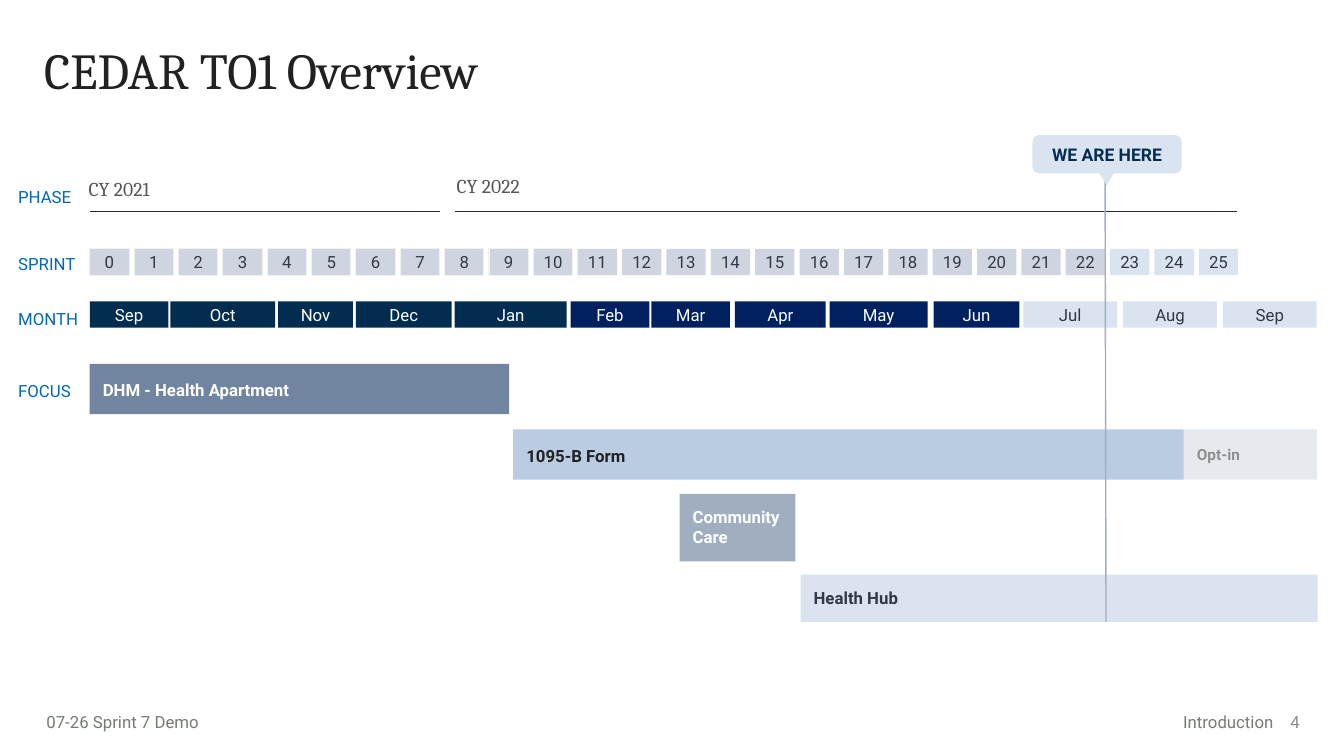
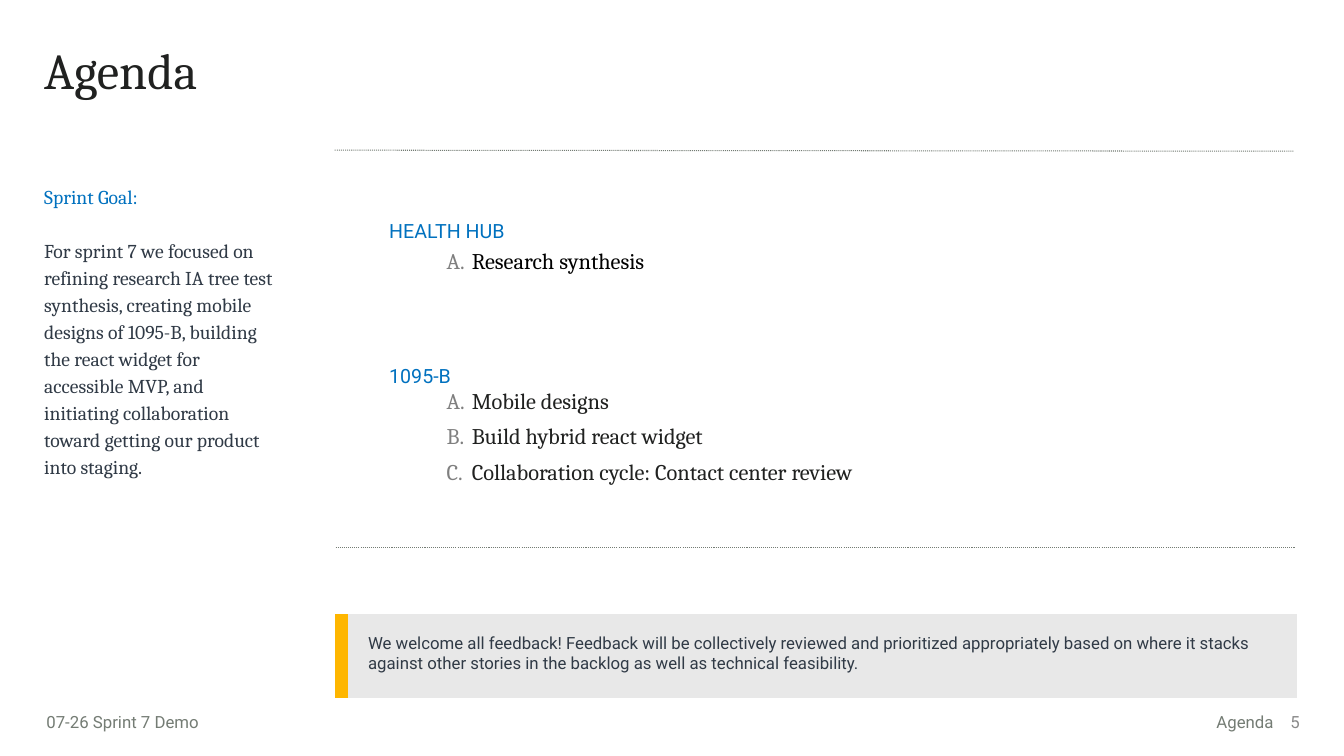
import lxml.etree
import pptx
import pptx.dml.color
import pptx.enum.dml
import pptx.enum.shapes
import pptx.enum.text
import pptx.oxml.ns
import pptx.util

PX = 9144  # 100 px to the inch
SERIF, SANS = "Cambria", "Roboto"
INK, SLATE, GRAY, WHITE = "202120", "303A46", "747C74", "FDFFFD"
LABEL_BLUE, HEADING_BLUE = "0467B8", "0071BF"
NAVY, ROYAL, PALE, STEEL = "022D50", "002060", "DAE4F0", "A1AEBF"

color = pptx.dml.color.RGBColor.from_string
qn = pptx.oxml.ns.qn
Pt = pptx.util.Pt
ALIGN = pptx.enum.text.PP_ALIGN
ANCHOR = pptx.enum.text.MSO_ANCHOR
SHAPE = pptx.enum.shapes.MSO_SHAPE


def add_block(page, place, text, size=12, ink=SLATE, font=SANS, bold=False, fill=None,
              kind=SHAPE.RECTANGLE, margins=(10, 5, 10, 5), align=ALIGN.LEFT,
              anchor=ANCHOR.TOP, spacing=None):
    """Add a text box, or a filled shape when a fill is given."""
    place = [length * PX for length in place]
    if fill:
        box = page.shapes.add_shape(kind, *place)
        box.shadow.inherit = False
        box.fill.solid()
        box.fill.fore_color.rgb = color(fill)
        box.line.fill.background()
    else:
        box = page.shapes.add_textbox(*place)
    frame = box.text_frame
    frame.word_wrap = True
    frame.vertical_anchor = anchor
    frame.margin_left, frame.margin_top, frame.margin_right, frame.margin_bottom = [
        margin * PX for margin in margins]
    frame.text = text
    for para in frame.paragraphs:
        para.alignment = align
        if spacing:
            para.line_spacing = spacing
        for span in para.runs:
            span.font.name, span.font.size, span.font.bold = font, Pt(size), bold
            span.font.color.rgb = color(ink)
    return box


def add_rule(page, ends, ink, width=0.75):
    """Add a straight line without a shadow."""
    rule = page.shapes.add_connector(
        pptx.enum.shapes.MSO_CONNECTOR.STRAIGHT, *[length * PX for length in ends])
    rule.line.color.rgb = color(ink)
    rule.line.width = Pt(width)
    lxml.etree.SubElement(rule.element.spPr, qn("a:effectLst"))
    return rule


deck = pptx.Presentation()
deck.slide_width, deck.slide_height = 1333 * PX, 750 * PX

# Title and footer of both slides
pages = []
for number, title, section in [(4, "CEDAR TO1 Overview", "Introduction"), (5, "Agenda", "Agenda")]:
    page = deck.slides.add_slide(deck.slide_layouts[6])
    add_block(page, (34, 41, 1242, 82), title, 36, INK, SERIF, spacing=0.9)
    add_block(page, (46, 701, 298, 30), "07-26 Sprint 7 Demo", ink=GRAY, margins=(0, 5, 10, 5))
    add_block(page, (975, 701, 298, 30), section, ink=GRAY, align=ALIGN.RIGHT)
    add_block(page, (1255, 696, 44, 40), str(number), ink="8A8A8A", align=ALIGN.RIGHT,
              anchor=ANCHOR.MIDDLE)
    pages.append(page)
overview, agenda = pages

# Overview: row labels
for label, top in [("PHASE", 185), ("SPRINT", 252), ("MONTH", 306), ("FOCUS", 378)]:
    add_block(overview, (18, top, 78, 20), label, ink=LABEL_BLUE, margins=(0, 0, 0, 0))

# Overview: calendar years
for year, left, top, start, end in [("CY 2021", 78, 171, 89, 436), ("CY 2022", 443, 168, 451, 1227)]:
    add_block(overview, (left, top, 300, 34), year, 14, "565956", SERIF)
    add_rule(overview, (start, 210, end, 210), "232B34")

# Overview: sprints at an equal pitch
for sprint in range(26):
    cell = add_block(overview, (89 + 44 * sprint, 247, 39, 26), str(sprint),
                     fill="CED5E0" if sprint < 23 else PALE,
                     margins=(3, 3, 3, 3), align=ALIGN.CENTER)
    if sprint < 11:
        cell.line.color.rgb = color("F0F1F0")
        cell.line.width = Pt(0.75)

# Overview: months, grouped by contract period
periods = [
    (NAVY, WHITE, [("Sep", 89, 78), ("Oct", 169, 104), ("Nov", 276, 74), ("Dec", 353, 95),
                   ("Jan", 451, 111)]),
    (ROYAL, WHITE, [("Feb", 566, 78), ("Mar", 646, 78), ("Apr", 729, 90), ("May", 823, 97),
                    ("Jun", 926, 85)]),
    (PALE, SLATE, [("Jul", 1015, 93), ("Aug", 1114, 93), ("Sep", 1213, 93)]),
]
for fill, ink, months in periods:
    for month, left, width in months:
        add_block(overview, (left, 299, width, 26), month, ink=ink, fill=fill,
                  margins=(3, 3, 3, 3), align=ALIGN.CENTER)

# Overview: focus bars
focus_bars = [
    ("DHM - Health Apartment", (89, 361, 416, 50), "7185A0", "FFFFFF", 12, 1.15),
    ("1095-B Form", (509, 426, 665, 50), "B9CCE2", INK, 12, 1.15),
    ("Community Care", (674, 490, 115, 67), STEEL, WHITE, 12, None),
    ("Health Hub", (794, 570, 513, 47), PALE, SLATE, 12, None),
    ("Opt-in", (1174, 426, 132, 50), STEEL, "8F8F8F", 11, 1.15),
]
for text, place, fill, ink, size, spacing in focus_bars:
    bar = add_block(overview, place, text, size, ink, bold=True, fill=fill,
                    margins=(13, 13, 13, 13), spacing=spacing)
    if text == "Opt-in":
        tint = bar.element.spPr.find(qn("a:solidFill"))[0]
        lxml.etree.SubElement(tint, qn("a:alpha"), val="26000")

# Overview: current date marker
add_rule(overview, (1096, 155, 1097, 617), STEEL, 1)
callout = add_block(overview, (1024, 134, 148, 38), "WE ARE HERE", 12.5, NAVY, bold=True, fill=PALE,
                    kind=SHAPE.ROUNDED_RECTANGLE, align=ALIGN.CENTER, anchor=ANCHOR.MIDDLE)
callout.adjustments[0] = 0.17
pointer = add_block(overview, (1090, 171, 15, 13), "", fill=PALE, kind=SHAPE.ISOSCELES_TRIANGLE)
pointer.rotation = 180

# Agenda: sprint goal
goal = add_block(
    agenda, (34, 175, 247, 391),
    "Sprint Goal:\nFor sprint 7 we focused on refining research IA tree test synthesis, "
    "creating mobile designs of 1095-B, building the react widget for accessible MVP, and "
    "initiating collaboration toward getting our product into staging.",
    14, SLATE, SERIF, spacing=1.15)
heading, body = goal.text_frame.paragraphs
heading.runs[0].font.color.rgb = color(HEADING_BLUE)
body.space_before = Pt(19)

# Agenda: dotted rules
for ends in [(332, 149, 1283, 150), (333, 543, 1284, 543)]:
    rule = add_rule(agenda, ends, GRAY)
    rule.line.dash_style = pptx.enum.dml.MSO_LINE.ROUND_DOT

# Agenda: topics with lettered items
topics = [
    ("HEALTH HUB", 212, 245, 27, "000000", ["Research synthesis"]),
    ("1095-B", 356, 384, 98, INK,
     ["Mobile designs", "Build hybrid react widget", "Collaboration cycle: Contact center review"]),
]
for topic, topic_top, list_top, height, ink, items in topics:
    add_block(agenda, (386, topic_top, 528, 40), topic, 14, HEADING_BLUE, margins=(0, 5, 0, 5))
    box = add_block(agenda, (443, list_top, 680, height), "\n".join(items), 16, ink, SERIF,
                    margins=(0, 0, 0, 0))
    for index, para in enumerate(box.text_frame.paragraphs):
        if index:
            para.space_before = Pt(6)
        properties = para._p.get_or_add_pPr()
        properties.set("marL", str(25 * PX))
        properties.set("indent", str(-25 * PX))
        bullet_color = lxml.etree.SubElement(properties, qn("a:buClr"))
        lxml.etree.SubElement(bullet_color, qn("a:srgbClr"), val="7F7F7F")
        lxml.etree.SubElement(properties, qn("a:buFont"), typeface=SERIF)
        lxml.etree.SubElement(properties, qn("a:buAutoNum"), type="alphaUcPeriod")

# Agenda: feedback note
holder = agenda.shapes.add_table(1, 2, 332 * PX, 609 * PX, 954 * PX, 83 * PX)
holder.element.xpath(".//a:tableStyleId")[0].text = "{2D5ABB26-0587-4C30-8999-92F81FD0307C}"
note = holder.table
note.first_row = note.horz_banding = False
feedback = ("We welcome all feedback! Feedback will be collectively reviewed and prioritized "
            "appropriately based on where it stacks against other stories in the backlog as well "
            "as technical feasibility.")
for index, (width, margin, fill, text) in enumerate([(13, 0, "FEB600", ""),
                                                     (941, 20, "E8E8E8", feedback)]):
    note.columns[index].width = width * PX
    cell = note.cell(0, index)
    cell.fill.solid()
    cell.fill.fore_color.rgb = color(fill)
    cell.margin_left = cell.margin_right = cell.margin_top = cell.margin_bottom = margin * PX
    cell.text_frame.text = text
    for span in cell.text_frame.paragraphs[0].runs:
        span.font.name, span.font.size = SANS, Pt(12)
        span.font.color.rgb = color(SLATE)

deck.save("out.pptx")
